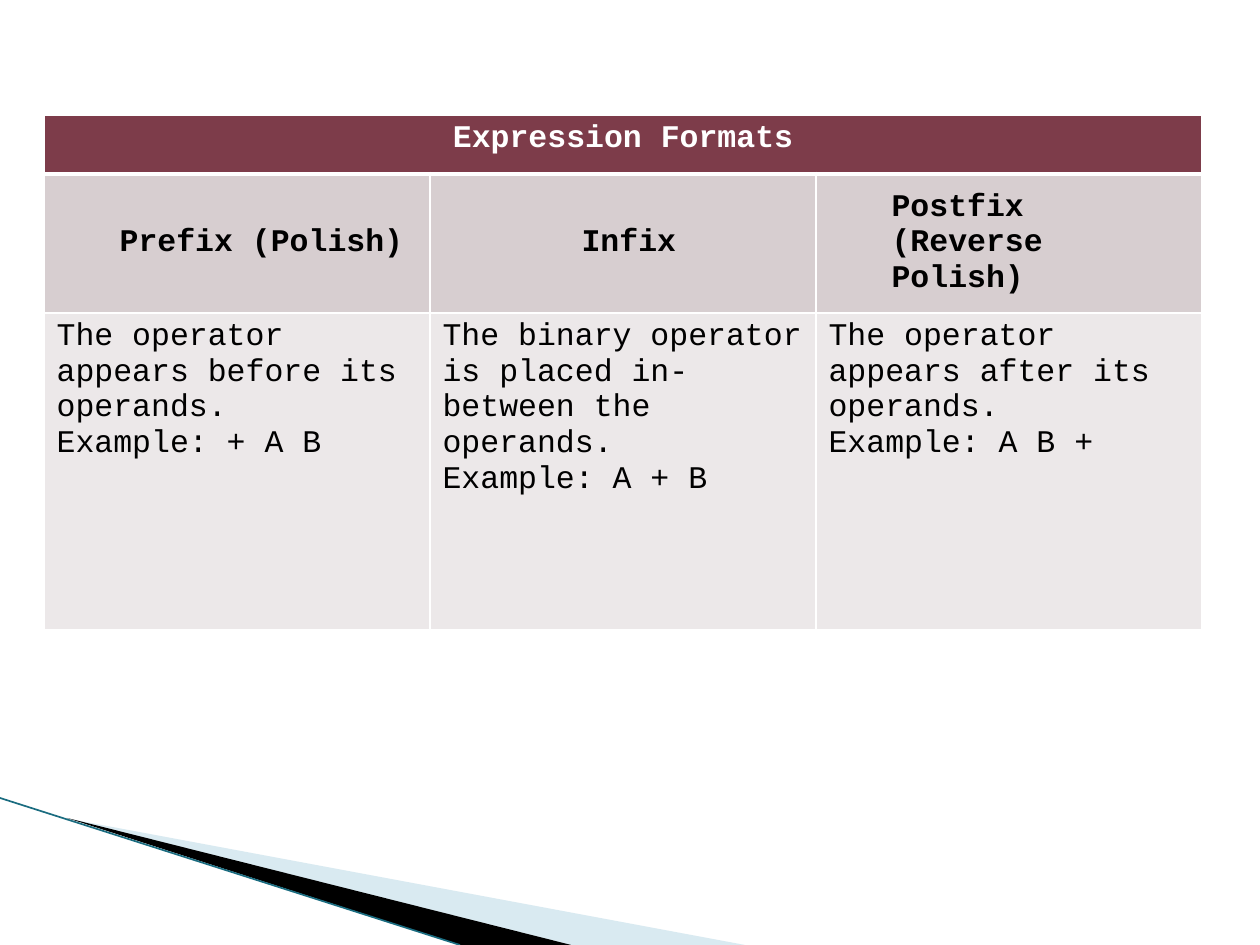
from lxml.etree import SubElement
from pptx import Presentation
from pptx.dml.color import RGBColor
from pptx.enum.shapes import MSO_CONNECTOR as Connector
from pptx.enum.text import MSO_ANCHOR as Anchor, PP_ALIGN as Align
from pptx.oxml.ns import qn
from pptx.util import Emu, Pt

EMU_PER_PX = 914400 / 126
FONT = "Courier New"

WHITE = RGBColor(0xFF, 0xFF, 0xFF)
BLACK = RGBColor(0x00, 0x00, 0x00)
MAROON = RGBColor(0x7D, 0x3C, 0x4A)
ROSE = RGBColor(0xD7, 0xCE, 0xD0)
PALE_ROSE = RGBColor(0xEC, 0xE8, 0xE9)
PALE_BLUE = RGBColor(0xA0, 0xCB, 0xDC)
TEAL = RGBColor(0x1A, 0x6C, 0x80)

COLUMN_WIDTH = 386
ROW_HEIGHTS = (59, 139, 317)

# Name, left indent of the name, description, example
FORMATS = (
    ("Prefix (Polish)", 63,
     "The operator appears before its operands.", "Example: + A B"),
    ("Infix", 139,
     "The binary operator is placed in-between the operands.", "Example: A + B"),
    ("Postfix (Reverse Polish)", 63,
     "The operator appears after its operands.", "Example: A B +"),
)


def px(length):
    return Emu(round(length * EMU_PER_PX))


def set_frame(shape, frame):
    """Give a freeform another frame, leaving its outline in place."""
    left, top, width, height = (px(value) for value in frame)
    outline = shape._element.find(".//" + qn("a:path"))
    scale_x = int(outline.get("w")) / shape.width
    scale_y = int(outline.get("h")) / shape.height
    for point in outline.iter(qn("a:pt")):
        x = int(point.get("x")) + (shape.left - left) * scale_x
        y = int(point.get("y")) + (shape.top - top) * scale_y
        point.set("x", str(round(x)))
        point.set("y", str(round(y)))
    outline.set("w", str(round(width * scale_x)))
    outline.set("h", str(round(height * scale_y)))
    shape.left, shape.top, shape.width, shape.height = left, top, width, height


def add_wedge(page, frame, points, color, opacity=None):
    corners = [(px(x), px(y)) for x, y in points]
    builder = page.shapes.build_freeform(*corners[0])
    builder.add_line_segments(corners[1:], close=True)
    wedge = builder.convert_to_shape()
    set_frame(wedge, frame)
    wedge.shadow.inherit = False
    wedge.fill.solid()
    wedge.fill.fore_color.rgb = color
    wedge.line.fill.background()
    if opacity is not None:
        rgb = wedge._element.spPr.find(".//" + qn("a:srgbClr"))
        SubElement(rgb, qn("a:alpha"), val=str(opacity * 1000))


def add_line(page, start, end, color, width):
    line = page.shapes.add_connector(
        Connector.STRAIGHT, *(px(value) for value in start + end))
    line.line.color.rgb = color
    line.line.width = Pt(width)
    SubElement(line._element.spPr, qn("a:effectLst"))


def set_borders(cell, bottom=1):
    properties = cell._tc.get_or_add_tcPr()
    for side, width in (("L", 1), ("R", 1), ("T", 1), ("B", bottom)):
        border = SubElement(properties, qn(f"a:ln{side}"), w=str(Pt(width)))
        fill = SubElement(border, qn("a:solidFill"))
        SubElement(fill, qn("a:srgbClr"), val=str(WHITE))


def fill_cell(cell, text, fill, color=BLACK, bold=False, align=Align.LEFT,
              anchor=Anchor.TOP, indent=0):
    cell.fill.solid()
    cell.fill.fore_color.rgb = fill
    cell.vertical_anchor = anchor
    cell.text_frame.text = text
    for para in cell.text_frame.paragraphs:
        para.alignment = align
        if indent:
            para._p.get_or_add_pPr().set("marL", str(px(indent)))
        for span in para.runs:
            span.font.name = FONT
            span.font.size = Pt(18)
            span.font.bold = bold
            span.font.color.rgb = color


def add_format_table(page):
    columns = len(FORMATS)
    frame = page.shapes.add_table(
        len(ROW_HEIGHTS), columns, px(44), px(115),
        px(COLUMN_WIDTH * columns), px(sum(ROW_HEIGHTS)))
    table = frame.table
    table.first_row = table.horz_banding = False
    for column in table.columns:
        column.width = px(COLUMN_WIDTH)
    for index, height in enumerate(ROW_HEIGHTS):
        table.rows[index].height = px(height)
        for cell in table.rows[index].cells:
            set_borders(cell, bottom=3 if index == 0 else 1)

    # Heading across all columns
    table.cell(0, 0).merge(table.cell(0, columns - 1))
    fill_cell(table.cell(0, 0), "Expression Formats", MAROON, WHITE,
              bold=True, align=Align.CENTER)

    # One column per format
    for index, (name, indent, description, example) in enumerate(FORMATS):
        fill_cell(table.cell(1, index), name, ROSE, bold=True,
                  anchor=Anchor.MIDDLE, indent=indent)
        fill_cell(table.cell(2, index), f"{description}\n{example}", PALE_ROSE)


def main():
    deck = Presentation()
    deck.slide_width, deck.slide_height = px(1260), px(945)
    page = deck.slides.add_slide(deck.slide_layouts[6])

    # Corner decoration
    add_wedge(page, (98, 689, 524, 199),
              [(69, 819), (745, 945), (571, 945)], PALE_BLUE, opacity=40)
    add_wedge(page, (-8, 798, 524, 116),
              [(67, 818), (571, 945), (460, 945)], BLACK)
    add_line(page, (0, 798), (460, 945), TEAL, 0.95)

    add_format_table(page)
    deck.save("out.pptx")


if __name__ == "__main__":
    main()
